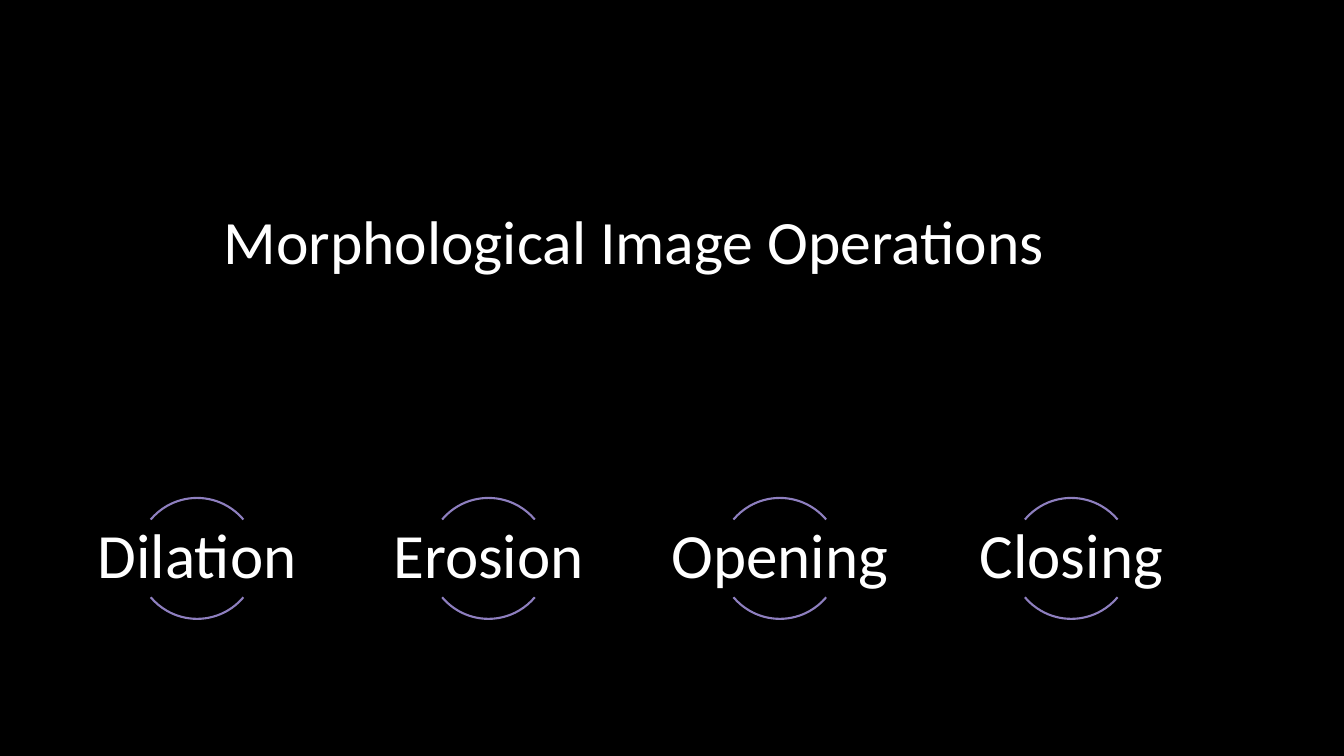
from dataclasses import dataclass

from pptx import Presentation
from pptx import util as u
from pptx.dml.color import RGBColor
from pptx.enum import shapes, text


@dataclass(frozen=True)
class Theme:
    background: RGBColor = RGBColor(0x00, 0x00, 0x00)
    ink: RGBColor = RGBColor(0xFF, 0xFF, 0xFF)
    arc: RGBColor = RGBColor(0x8E, 0x7F, 0xBF)
    font: str = "Calibri"
    title_size: int = 44
    label_size: int = 45
    arc_width: float = 1.5


THEME = Theme()
OPERATIONS = ["Dilation", "Erosion", "Opening", "Closing"]
ARC_ANGLES = [(220, 320), (40, 140)]
ARC_UNITS_PER_DEGREE = 0.6


def write_centered(frame, wording, size):
    frame.text = wording
    frame.word_wrap = True
    frame.auto_size = text.MSO_AUTO_SIZE.NONE
    frame.vertical_anchor = text.MSO_ANCHOR.MIDDLE
    paragraph = frame.paragraphs[0]
    paragraph.alignment = text.PP_ALIGN.CENTER
    font = paragraph.runs[0].font
    font.name = THEME.font
    font.size = u.Pt(size)
    font.color.rgb = THEME.ink
    return paragraph


def place_title(slide, left, top, width, height):
    title = slide.shapes.title
    title.left, title.top = u.Inches(left), u.Inches(top)
    title.width, title.height = u.Inches(width), u.Inches(height)
    write_centered(title.text_frame, "Morphological Image Operations", THEME.title_size)


def add_operation(group, operation, left, top, width, diameter):
    arc_left = left + (width - diameter) / 2
    for angles in ARC_ANGLES:
        arc = group.shapes.add_shape(
            shapes.MSO_SHAPE.ARC,
            u.Inches(arc_left), u.Inches(top), u.Inches(diameter), u.Inches(diameter),
        )
        for index, angle in enumerate(angles):
            arc.adjustments[index] = angle * ARC_UNITS_PER_DEGREE
        arc.shadow.inherit = False
        arc.fill.background()
        arc.line.color.rgb = THEME.arc
        arc.line.width = u.Pt(THEME.arc_width)

    label_height = 0.76
    label_top = top + (diameter - label_height) / 2
    label = group.shapes.add_textbox(
        u.Inches(left), u.Inches(label_top), u.Inches(width), u.Inches(label_height)
    )
    frame = label.text_frame
    frame.margin_left = frame.margin_right = u.Inches(0.03)
    frame.margin_top = frame.margin_bottom = u.Inches(0.03)
    write_centered(frame, operation, THEME.label_size).line_spacing = 0.9


def add_operations_row(slide, left, top, width, height):
    gap = 0.5
    label_width = (width - gap * (len(OPERATIONS) - 1)) / len(OPERATIONS)
    group = slide.shapes.add_group_shape()
    for index, operation in enumerate(OPERATIONS):
        operation_left = left + index * (label_width + gap)
        add_operation(group, operation, operation_left, top, label_width, height)


def main():
    deck = Presentation()
    deck.slide_width, deck.slide_height = u.Inches(13.33), u.Inches(7.5)
    slide = deck.slides.add_slide(deck.slide_layouts[5])
    slide.background.fill.solid()
    slide.background.fill.fore_color.rgb = THEME.background
    place_title(slide, 0.75, 0.67, 11.08, 3.42)
    add_operations_row(slide, 0.76, 4.94, 11.06, 1.2)
    deck.save("out.pptx")


if __name__ == "__main__":
    main()
